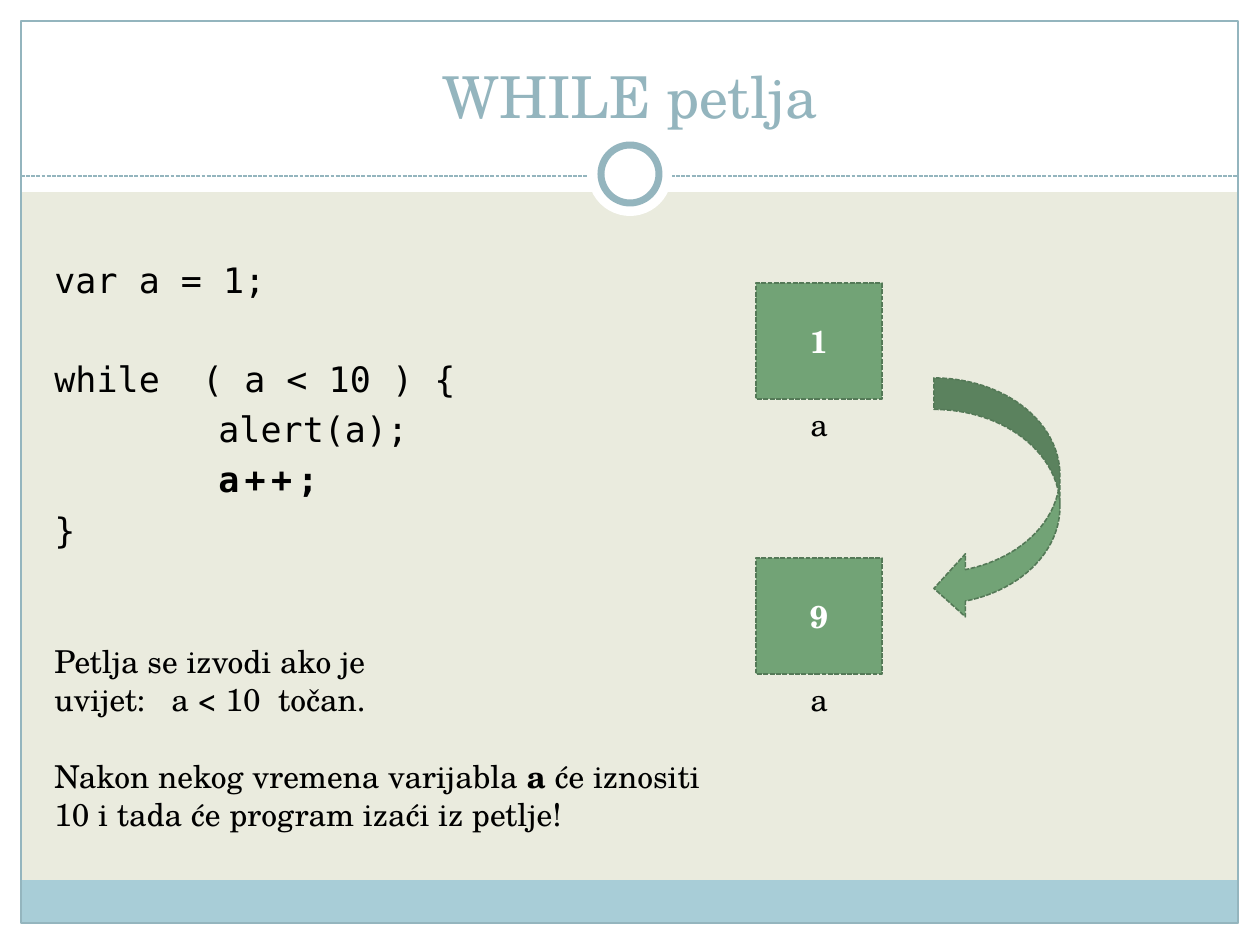
import pptx
import pptx.dml.color
import pptx.enum.dml
import pptx.enum.shapes
import pptx.enum.text
import pptx.oxml.ns
import pptx.util
from lxml import etree

Pt = pptx.util.Pt
Kind = pptx.enum.shapes.MSO_SHAPE
Align = pptx.enum.text.PP_ALIGN
Anchor = pptx.enum.text.MSO_ANCHOR
DASH = pptx.enum.dml.MSO_LINE.SQUARE_DOT
SERIF = "TeX Gyre Schola"
MONO = "DejaVu Sans Mono"
HUES = {
    "sand": "EAEBDE", "white": "FFFFFF", "sky": "A8CDD7", "steel": "94B5BE",
    "green": "72A376", "dark": "547957", "black": "000000",
}


def px(num):
    return round(num * 914400 / 126)


def hue(name):
    return pptx.dml.color.RGBColor.from_string(HUES[name])


class Deck:
    def __init__(self, wide, high):
        self.file = pptx.Presentation()
        self.file.slide_width, self.file.slide_height = px(wide), px(high)
        self.slide = self.file.slides.add_slide(self.file.slide_layouts[6])
        back = self.slide.background.fill
        back.solid()
        back.fore_color.rgb = hue("sand")

    def edge(self, line, color, width, dash):
        line.color.rgb = hue(color)
        line.width = Pt(width)
        if dash:
            line.dash_style = DASH

    def shape(self, kind, box, fill=None, line=None, width=0.75, dash=False):
        item = self.slide.shapes.add_shape(kind, *map(px, box))
        item.shadow.inherit = False
        if fill:
            item.fill.solid()
            item.fill.fore_color.rgb = hue(fill)
        else:
            item.fill.background()
        if line:
            self.edge(item.line, line, width, dash)
        else:
            item.line.fill.background()
        return item

    def rule(self, start, end, color):
        kind = pptx.enum.shapes.MSO_CONNECTOR.STRAIGHT
        item = self.slide.shapes.add_connector(kind, *map(px, start + end))
        self.edge(item.line, color, 0.75, True)
        etree.SubElement(item._element.spPr, pptx.oxml.ns.qn("a:effectLst"))

    def para(self, part, runs, size=18, color="black", face=SERIF, align=Align.LEFT):
        part.alignment = align
        part.font.size = Pt(size)
        part.font.name = face
        part.font.color.rgb = hue(color)
        for words, bold in runs:
            run = part.add_run()
            run.text = words
            if bold:
                run.font.bold = True

    def text(self, box, runs, anchor=Anchor.TOP, **style):
        frame = self.slide.shapes.add_textbox(*map(px, box)).text_frame
        frame.word_wrap = True
        frame.vertical_anchor = anchor
        self.para(frame.paragraphs[0], runs, **style)

    def code(self, box, rows):
        frame = self.slide.shapes.add_textbox(*map(px, box)).text_frame
        frame.word_wrap = True
        for spot, (words, gap, inset, bold) in enumerate(rows):
            part = frame.add_paragraph() if spot else frame.paragraphs[0]
            self.para(part, [(words, bold)], size=20, face=MONO)
            part.space_before = Pt(gap)
            part._p.get_or_add_pPr().set("marL", str(px(inset)))
            if bold:
                part.runs[0]._r.get_or_add_rPr().set("spc", "300")

    def value(self, top, words):
        item = self.shape(Kind.RECTANGLE, (756, top, 126, 116), "green", "dark", 0.9, True)
        item.text_frame.vertical_anchor = Anchor.MIDDLE
        self.para(item.text_frame.paragraphs[0], [(words, True)],
                  color="white", align=Align.CENTER)
        self.text((798, top + 116, 63, 50), [("a", False)])


def main():
    deck = Deck(1260, 945)
    for box in ((0, 924, 1260, 21), (0, 0, 1260, 192), (0, 0, 21, 945), (1239, 0, 21, 945)):
        deck.shape(Kind.RECTANGLE, box, "white")
    deck.shape(Kind.RECTANGLE, (21, 880, 1217, 43), "sky")
    deck.shape(Kind.RECTANGLE, (21, 21, 1217, 902), line="steel")
    deck.rule((21, 176), (1239, 176), "steel")
    deck.shape(Kind.OVAL, (588, 132, 84, 84), "white")
    deck.shape(Kind.OVAL, (601, 145, 58, 58), "white", "steel", 4)

    deck.text((42, 31, 1176, 105), [("WHILE petlja", False)], Anchor.BOTTOM,
              size=33, color="steel", align=Align.CENTER)
    deck.code((42, 252, 1172, 630), (
        ("var a = 1;", 4.7, 0, False),
        ("while  ( a < 10 ) {", 32.7, 0, False),
        ("alert(a);", 4.7, 164, False),
        ("a++;", 4.7, 164, True),
        ("}", 4.7, 0, False),
    ))
    deck.text((42, 636, 388, 89),
              [("Petlja se izvodi ako je uvijet:   a < 10  točan.", False)])
    deck.text((42, 751, 693, 89), [
        ("Nakon nekog vremena varijabla ", False),
        ("a", True),
        (" će iznositi 10 i tada će program izaći iz petlje!", False),
    ])
    for top, words in ((283, "1"), (558, "9")):
        deck.value(top, words)
    deck.shape(Kind.CURVED_LEFT_ARROW, (934, 378, 126, 242), "green", "dark", 0.9, True)
    deck.file.save("out.pptx")


if __name__ == "__main__":
    main()
